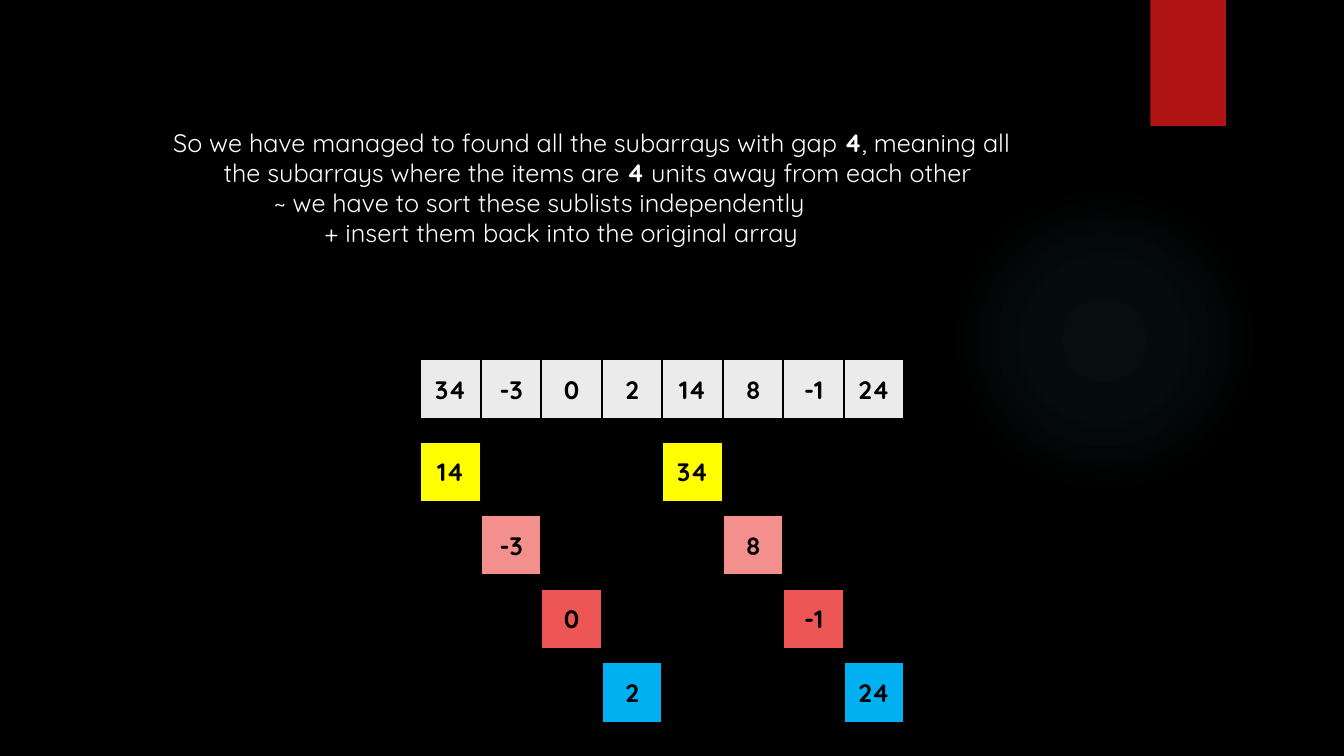
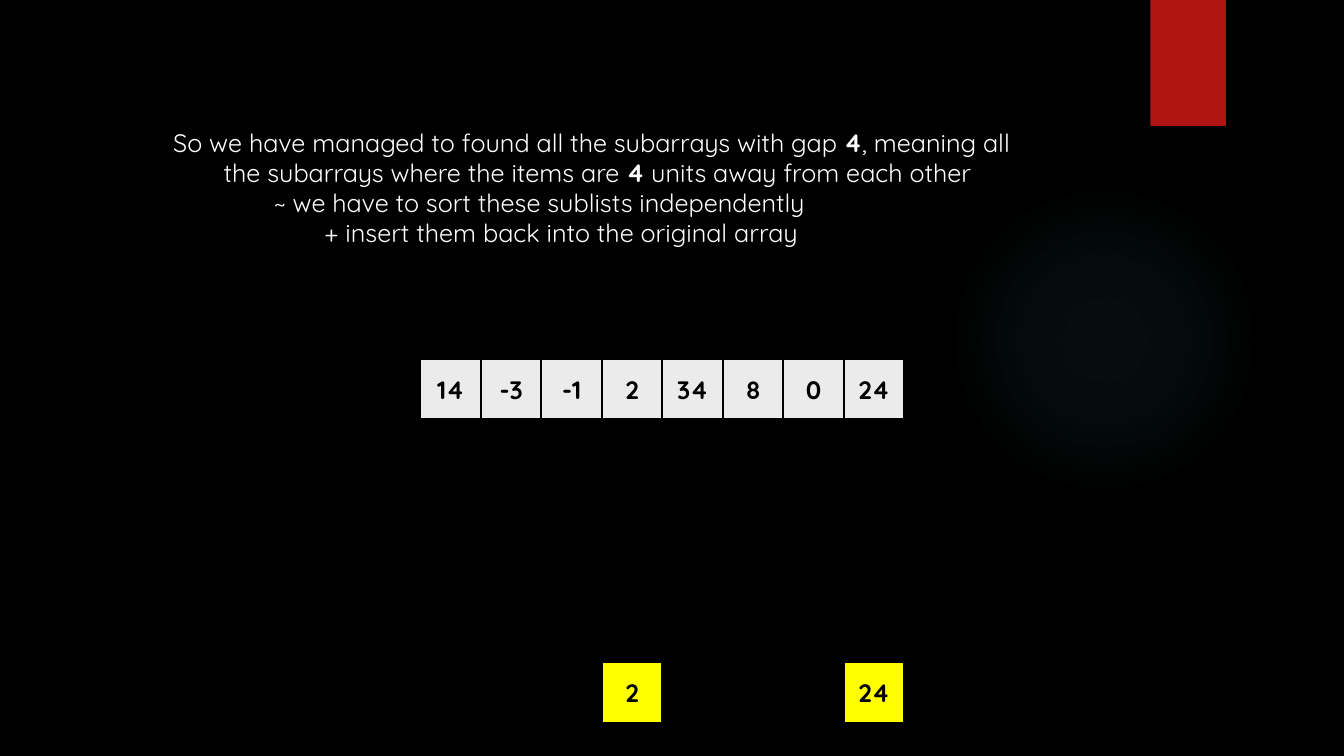
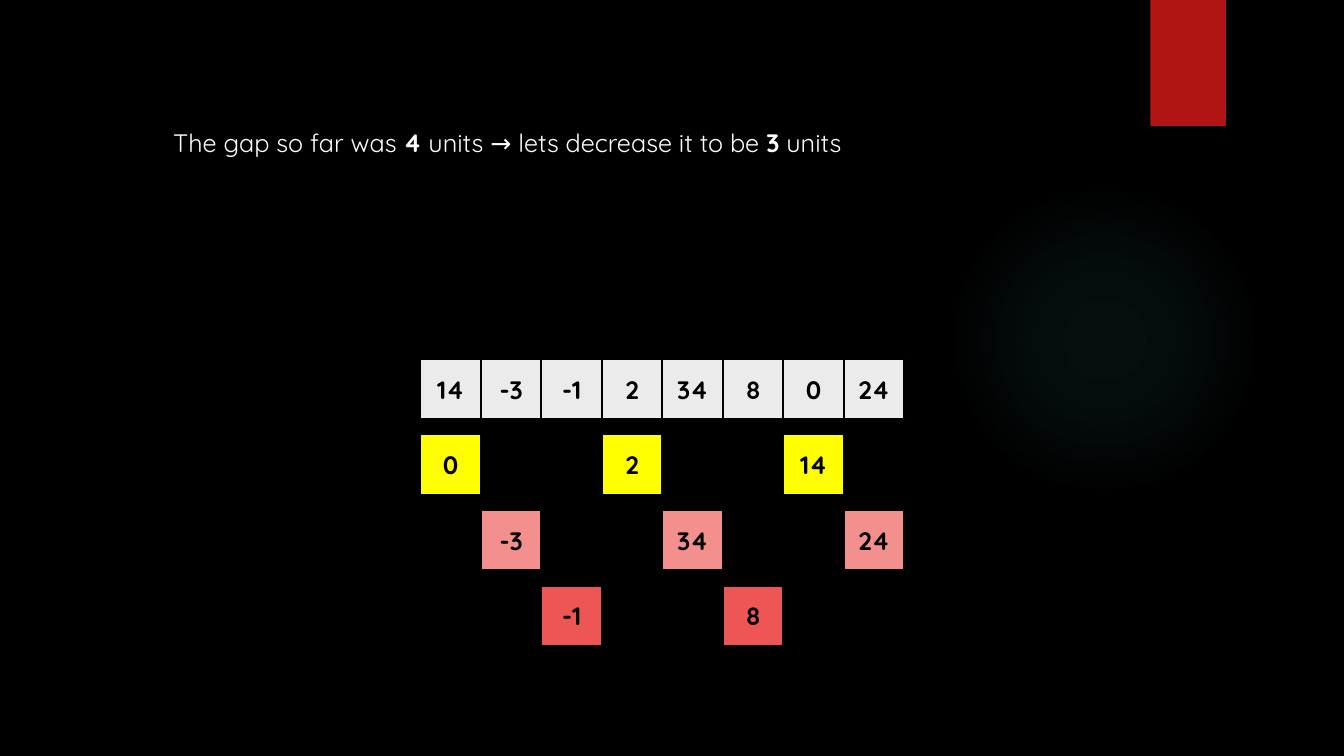
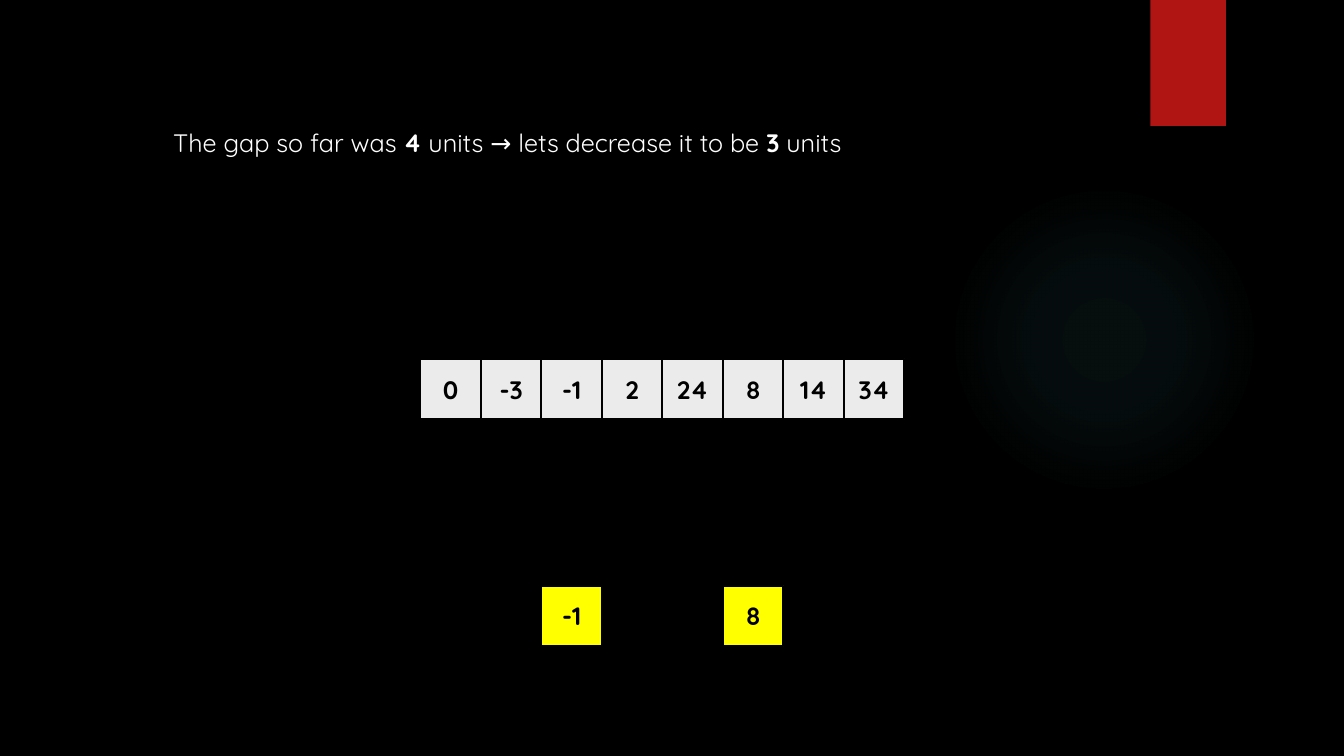
from dataclasses import dataclass

from pptx import Presentation
from pptx.dml.color import RGBColor
from pptx.enum.shapes import MSO_SHAPE
from pptx.enum.text import MSO_ANCHOR, PP_ALIGN
from pptx.oxml import parse_xml
from pptx.oxml.ns import nsdecls
from pptx.util import Inches, Pt

RECTANGLE, OVAL = MSO_SHAPE.RECTANGLE, MSO_SHAPE.OVAL
MIDDLE, CENTER = MSO_ANCHOR.MIDDLE, PP_ALIGN.CENTER
BLANK_LAYOUT = 6


@dataclass(frozen=True)
class Theme:
    background: str = "000000"
    text: str = "FFFFFF"
    ink: str = "000000"
    array: str = "EBEBEB"
    ribbon: str = "B01513"
    glow: str = "50B9C1"
    highlight: str = "FFFF00"
    sublists: tuple = ("FFFF00", "F38F8D", "ED5654", "00B0F0")
    font: str = "Quicksand"
    size: int = 18
    outline: float = 1.5


THEME = Theme()

# Grid of array cells, in inches
CELL = 0.6
GRID_LEFT, ARRAY_TOP = 4.17, 3.56
TEXT_LEFT, TEXT_TOP, TEXT_WIDTH = 1.62, 1.21, 9.06
LINE_HEIGHT, INDENT = 0.3, 0.5

# Gap between the items of a sublist, top of the first sublist, row distance
GAP_FOUR = {"gap": 4, "top": 4.38, "pitch": 0.73}
GAP_THREE = {"gap": 3, "top": 4.31, "pitch": 0.75}

# Asterisks enclose bold words; each line is one indent deeper than the last
SORT_SUBLISTS = (
    "So we have managed to found all the subarrays with gap *4*, meaning all",
    "the subarrays where the items are *4* units away from each other",
    "~ we have to sort these sublists independently",
    "+ insert them back into the original array",
)
DECREASE_GAP = (
    "The gap so far was *4* units → lets decrease it to be *3* units",
)

# Explanation, array, grid rule, sublists by row, colours by row
STEPS = (
    (SORT_SUBLISTS, (34, -3, 0, 2, 14, 8, -1, 24), GAP_FOUR,
     {0: (14, 34), 1: (-3, 8), 2: (0, -1), 3: (2, 24)}, THEME.sublists),
    (SORT_SUBLISTS, (14, -3, -1, 2, 34, 8, 0, 24), GAP_FOUR,
     {3: (2, 24)}, (THEME.highlight,) * 4),
    (DECREASE_GAP, (14, -3, -1, 2, 34, 8, 0, 24), GAP_THREE,
     {0: (0, 2, 14), 1: (-3, 34, 24), 2: (-1, 8)}, THEME.sublists),
    (DECREASE_GAP, (0, -3, -1, 2, 24, 8, 14, 34), GAP_THREE,
     {2: (-1, 8)}, (THEME.highlight,) * 3),
)


def rgb(color):
    return RGBColor.from_string(color)


def add_span(para, text, color, bold):
    span = para.add_run()
    span.text = text
    values = {"name": THEME.font, "size": Pt(THEME.size), "bold": bold}
    for name, value in values.items():
        setattr(span.font, name, value)
    span.font.color.rgb = rgb(color)


def add_box(page, kind, place, color):
    box = page.shapes.add_shape(kind, *map(Inches, place))
    box.shadow.inherit = False
    box.fill.solid()
    box.fill.fore_color.rgb = rgb(color)
    box.line.fill.background()
    return box


def add_cell(page, column, top, value, color):
    left = GRID_LEFT + column * CELL
    box = add_box(page, RECTANGLE, (left, top, CELL, CELL), color)
    box.line.color.rgb = rgb(THEME.ink)
    box.line.width = Pt(THEME.outline)
    box.text_frame.vertical_anchor = MIDDLE
    para = box.text_frame.paragraphs[0]
    para.alignment = CENTER
    add_span(para, str(value), THEME.ink, True)


def add_explanation(page, lines):
    height = 0.1 + LINE_HEIGHT * len(lines)
    place = (TEXT_LEFT, TEXT_TOP, TEXT_WIDTH, height)
    frame = page.shapes.add_textbox(*map(Inches, place)).text_frame
    frame.word_wrap = True
    for depth, line in enumerate(lines):
        para = frame.paragraphs[0] if depth == 0 else frame.add_paragraph()
        para._p.get_or_add_pPr().set("marL", str(Inches(depth * INDENT)))
        for index, text in enumerate(line.split("*")):
            add_span(para, text, THEME.text, index % 2 == 1)


def add_array(page, values):
    for column, value in enumerate(values):
        add_cell(page, column, ARRAY_TOP, value, THEME.array)


def add_sublists(page, rule, sublists, colors):
    for row, values in sublists.items():
        top = rule["top"] + row * rule["pitch"]
        for index, value in enumerate(values):
            add_cell(page, row + index * rule["gap"], top, value, colors[row])


def radial_fill(color, stops):
    """Gradient from the centre; stops are (position, opacity) in percent."""
    marks = "".join(
        f'<a:gs pos="{position * 1000}"><a:srgbClr val="{color}">'
        f'<a:alpha val="{opacity * 1000}"/></a:srgbClr></a:gs>'
        for position, opacity in stops)
    return parse_xml(
        f'<a:gradFill {nsdecls("a")}><a:gsLst>{marks}</a:gsLst>'
        '<a:path path="circle"><a:fillToRect l="50000" t="50000" '
        'r="50000" b="50000"/></a:path></a:gradFill>')


def decorate_master(master, page):
    """Background, glow and ribbon, drawn on a page and moved to the master."""
    master.background.fill.solid()
    master.background.fill.fore_color.rgb = rgb(THEME.background)
    glow = add_box(page, OVAL, (9.41, 1.83, 3.08, 3.08), THEME.glow)
    properties = glow._element.spPr
    properties.replace(properties.solidFill,
                       radial_fill(THEME.glow, ((0, 7), (36, 6), (69, 0))))
    ribbon = add_box(page, RECTANGLE, (11.41, 0, 0.75, 1.25), THEME.ribbon)
    first_id = max(shape.shape_id for shape in master.shapes) + 1
    for offset, box in enumerate((glow, ribbon)):
        box._element.nvSpPr.cNvPr.set("id", str(first_id + offset))
        master.shapes._spTree.insert(2 + offset, box._element)


def main():
    deck = Presentation()
    deck.slide_width, deck.slide_height = Inches(13.33), Inches(7.5)
    layout = deck.slide_layouts[BLANK_LAYOUT]
    for number, (lines, array, rule, sublists, colors) in enumerate(STEPS):
        page = deck.slides.add_slide(layout)
        if number == 0:
            decorate_master(deck.slide_master, page)
        add_array(page, array)
        add_explanation(page, lines)
        add_sublists(page, rule, sublists, colors)
    deck.save("out.pptx")


main()
